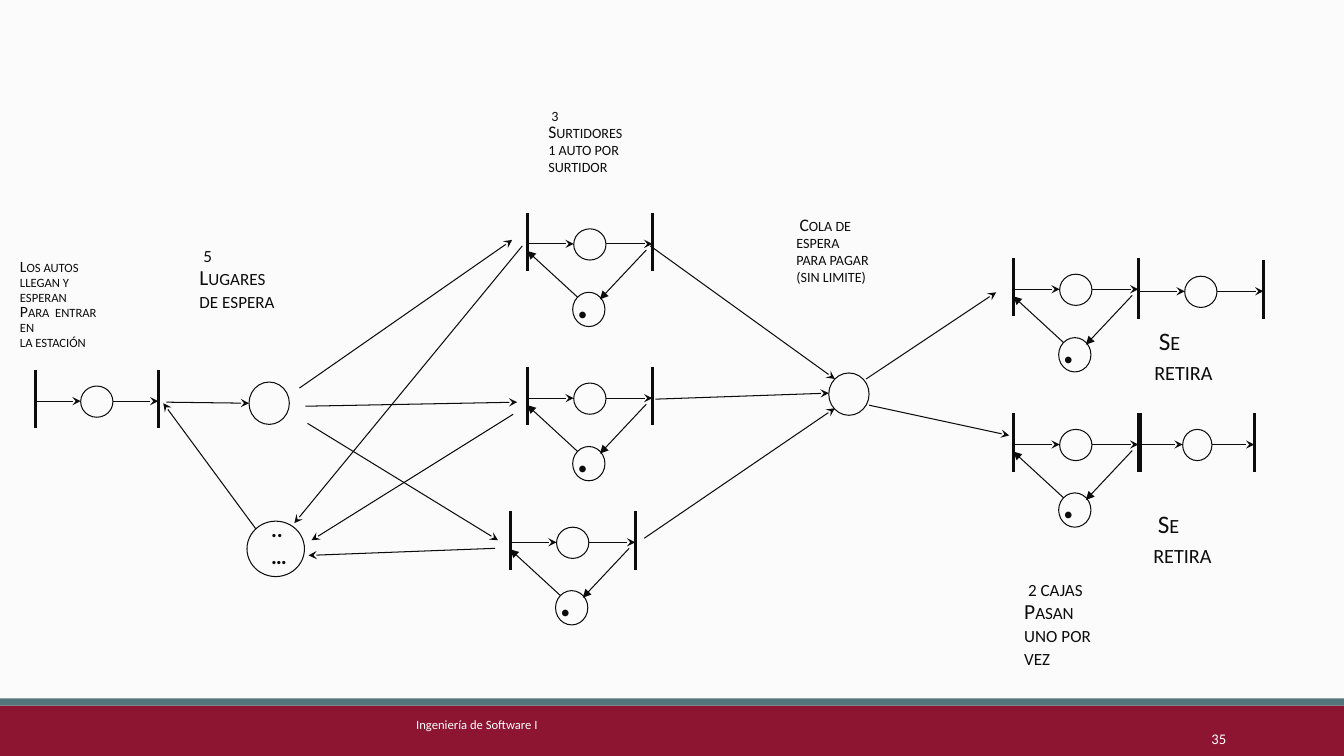
from pptx import Presentation
from pptx.dml.color import RGBColor
from pptx.enum.shapes import MSO_CONNECTOR, MSO_SHAPE
from pptx.enum.text import MSO_ANCHOR, PP_ALIGN
from pptx.oxml.ns import qn
from pptx.util import Inches, Pt
from lxml import etree

STRAIGHT = MSO_CONNECTOR.STRAIGHT
OVAL, RECTANGLE = MSO_SHAPE.OVAL, MSO_SHAPE.RECTANGLE
TOP, MIDDLE, BOTTOM = MSO_ANCHOR.TOP, MSO_ANCHOR.MIDDLE, MSO_ANCHOR.BOTTOM
LEFT, RIGHT = PP_ALIGN.LEFT, PP_ALIGN.RIGHT
FONT = "Calibri"
COLORS = {"paper": "FBFBFB", "ink": "0C0C0C", "wine": "8D1532",
          "teal": "54747B", "white": "FFFFFF"}

# left, top, size, line spacing, paragraphs
LABELS = [
    (11.35, 3.03, 18, 1, [" Se retira"]),
    (5.34, 0.91, 12.6, 0.8, [" 3 Surtidores", "1 auto por surtidor"]),
    (7.8, 2, 12.6, 0.8, [" Cola de espera", "para pagar (sin limite)"]),
    (1.88, 2.26, 15.3, 0.9, [" 5 Lugares de espera"]),
    (0.1, 2.53, 11.2, 0.8,
     ["Los autos", "llegan y esperan", "Para  entrar en", "la estación"]),
    (10.06, 5.69, 15.3, 0.9, [" 2 cajas", "Pasan uno por vez"]),
    (11.34, 4.84, 18, 1, [" Se retira"]),
]
# left, top, width, place width
PLAIN_STATIONS = [(0.35, 3.67, 1.22, 0.32), (11.29, 2.58, 1.24, 0.32),
                  (11.31, 4.1, 1.13, 0.29)]
PUMPS = [(5.23, 2.11), (5.23, 3.64), (5.06, 5.07)]
CASH_DESKS = [(10.05, 2.56), (10.05, 4.1)]
WAITING_PLACE = (2.47, 3.79, 0.4, 0.42)
PAYMENT_QUEUE = (8.22, 3.7, 0.4, 0.42)
FREE_PLACES = (2.45, 5.17, 0.57, 0.55)
FLOWS = [
    ((1.65, 3.99), (2.47, 4)),
    ((2.97, 3.85), (5.08, 2.38)),
    ((3.03, 4.03), (5.13, 3.99)),
    ((3.05, 4.2), (4.94, 5.36)),
    ((6.45, 2.44), (8.28, 3.76)),
    ((6.5, 3.96), (8.22, 3.9)),
    ((6.39, 5.34), (8.28, 4.05)),
    ((8.59, 3.76), (9.88, 2.9)),
    ((8.62, 4.02), (10.01, 4.32)),
    ((2.54, 5.25), (1.62, 4)),
    ((5.18, 2.44), (2.92, 5.19)),
    ((5.09, 4.11), (3.09, 5.36)),
    ((4.91, 5.44), (3.06, 5.51)),
]


def rgb(name):
    return RGBColor.from_string(COLORS[name])


def style_font(font, size, color="ink", bold=False):
    font.name = FONT
    font.size = Pt(size)
    font.bold = bold
    font.color.rgb = rgb(color)


def add_text_box(shapes, bounds, anchor=MIDDLE):
    box = shapes.add_textbox(*map(Inches, bounds))
    box.text_frame.word_wrap = True
    box.text_frame.vertical_anchor = anchor
    return box


def add_text(shapes, bounds, lines, size, spacing=1, color="ink", bold=False,
             small_caps=True, anchor=MIDDLE, align=LEFT):
    frame = add_text_box(shapes, bounds, anchor).text_frame
    frame.text = "\n".join(lines)
    for para in frame.paragraphs:
        para.alignment = align
        para.line_spacing = spacing
        style_font(para.font, size, color, bold)
        if small_caps:
            para._p.pPr.find(qn("a:defRPr")).set("cap", "small")


def add_band(shapes, top, height, color):
    band = shapes.add_shape(RECTANGLE, 0, Inches(top), Inches(13.33), Inches(height))
    band.shadow.inherit = False
    band.fill.solid()
    band.fill.fore_color.rgb = rgb(color)
    band.line.fill.background()


def add_place(shapes, bounds):
    place = shapes.add_shape(OVAL, *map(Inches, bounds))
    place.shadow.inherit = False
    place.fill.background()
    place.line.color.rgb = rgb("ink")
    place.line.width = Pt(0.75)


def add_line(shapes, start, end, head="stealth", width=0.75):
    line = shapes.add_connector(STRAIGHT, *map(Inches, (*start, *end)))
    line.line.color.rgb = rgb("ink")
    line.line.width = Pt(width)
    if head:
        outline = line.line._get_or_add_ln()
        etree.SubElement(outline, qn("a:tailEnd"), type=head)
    etree.SubElement(line._element.spPr, qn("a:effectLst"))


def add_station(page, left, top, width=1.24, place_width=0.32):
    """Draw a place between two transition bars; return the group's shapes."""
    shapes = page.shapes.add_group_shape().shapes
    right = left + width
    place_left = left + (width - place_width) / 2
    axis = top + 0.31
    add_place(shapes, (place_left, top + 0.16, place_width, 0.31))
    for x in (left, right):
        add_line(shapes, (x, top), (x, top + 0.58), head=None, width=2)
    add_line(shapes, (left, axis), (place_left, axis))
    add_line(shapes, (place_left + place_width, axis), (right, axis))
    return shapes


def add_token(shapes, left, top):
    box = add_text_box(shapes, (left, top, 0.43, 0.7))
    box.rotation = 90
    para = box.text_frame.paragraphs[0]
    for text, size, bold in ((" ", 24, False), (".", 32, True)):
        span = para.add_run()
        span.text = text
        style_font(span.font, size, bold=bold)


def add_server(page, left, top):
    """Draw a station with a token place that limits it to one car."""
    shapes = add_station(page, left, top)
    add_place(shapes, (left + 0.45, top + 0.79, 0.32, 0.34))
    add_token(shapes, left + 0.48, top + 0.65)
    add_line(shapes, (left + 1.18, top + 0.37), (left + 0.72, top + 0.86), "triangle")
    add_line(shapes, (left + 0.5, top + 0.84), (left, top + 0.38), "triangle")


def main():
    deck = Presentation()
    deck.slide_width, deck.slide_height = Inches(13.33), Inches(7.5)
    page = deck.slides.add_slide(deck.slide_layouts[6])
    page.background.fill.solid()
    page.background.fill.fore_color.rgb = rgb("paper")
    shapes = page.shapes

    add_band(shapes, 7, 0.5, "wine")
    add_band(shapes, 6.93, 0.07, "teal")
    add_text(shapes, (4.03, 7.06, 5.27, 0.4), ["Ingeniería de Software I"], 9,
             color="white", small_caps=False, anchor=TOP)
    add_text(shapes, (10.83, 7.06, 1.43, 0.4), ["35"], 10.5,
             color="white", small_caps=False, anchor=BOTTOM, align=RIGHT)

    for left, top, size, spacing, lines in LABELS:
        add_text(shapes, (left, top, 1, 1), lines, size, spacing)
    for station in PLAIN_STATIONS:
        add_station(page, *station)
    for server in PUMPS + CASH_DESKS:
        add_server(page, *server)
    for place in (WAITING_PLACE, PAYMENT_QUEUE, FREE_PLACES):
        add_place(shapes, place)
    add_text(shapes, (2.59, 5.05, 1.31, 0.67), ["..", "…"], 19.8, 0.8, bold=True)
    for start, end in FLOWS:
        add_line(shapes, start, end)

    deck.save("out.pptx")


if __name__ == "__main__":
    main()
